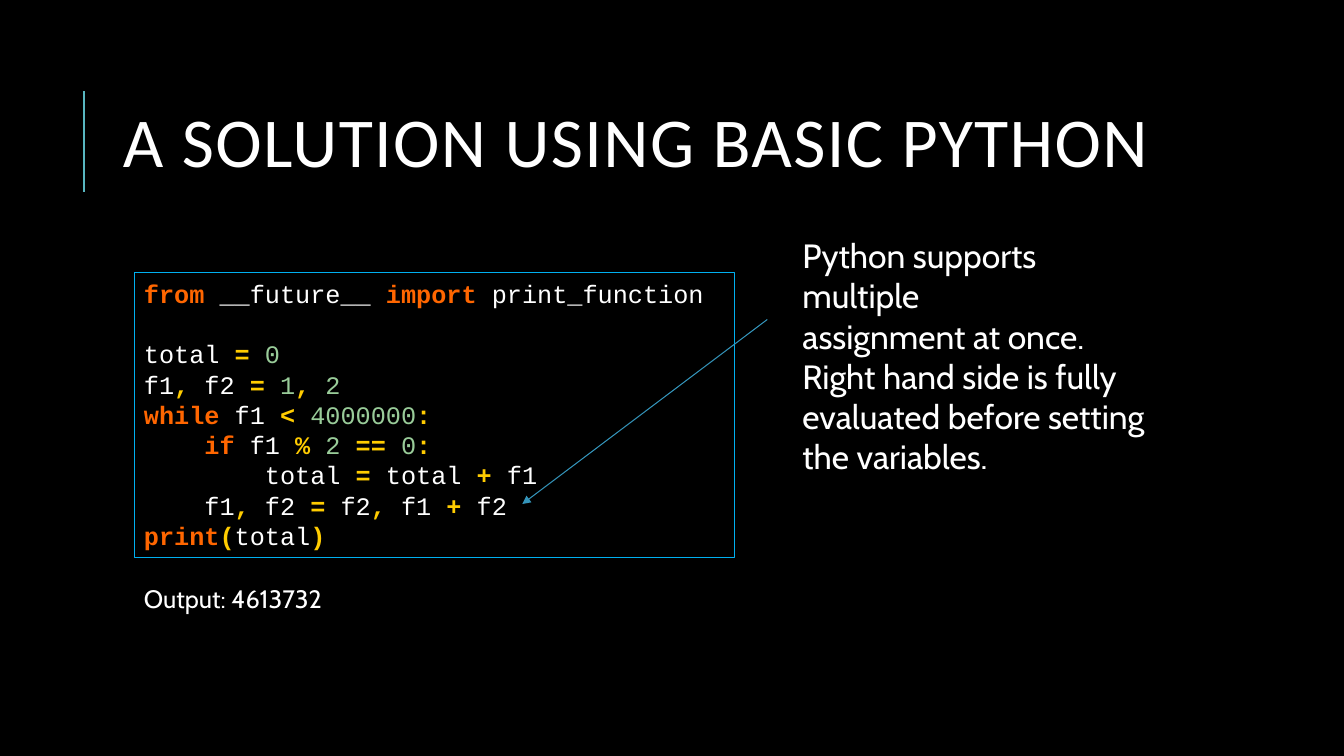
from lxml import etree
from pptx import Presentation
from pptx import util as u
from pptx.dml.color import RGBColor
from pptx.enum import shapes, text
from pptx.oxml.ns import qn

# Content: "|" separates the tokens of a code line
TITLE = "A SOLUTION USING BASIC PYTHON"
CODE = [  # indent level, blank lines above, tokens
    (0, 0, "from| __future__ |import |print_function"),
    (0, 1, "total |= |0"),
    (0, 0, "f1|,| f2 |= |1|, |2"),
    (0, 0, "while| f1 |< |4000000|:"),
    (1, 0, "if| f1 |% |2 |== |0|:"),
    (2, 0, "total |=| total |+| f1"),
    (1, 0, "f1|,| f2 |=| f2|,| f1 |+| f2"),
    (0, 0, "print|(|total|)"),
]
KEYWORDS = {"from", "import", "while", "if", "print"}
OPERATORS = {"=", "==", "<", "%", "+", ",", ":", "(", ")"}
NOTE = [
    "Python supports multiple",
    "assignment at once.",
    "Right hand side is fully evaluated before setting the variables.",
]
OUTPUT = "Output: 4613732"

# Layout in inches, type in points
WIDTH, HEIGHT = 13.33, 7.5
CODE_LEFT = 1.33
CODE_SIZE, CODE_PITCH = 18, 21.6
TAB = 4 * 0.6 * CODE_SIZE  # four monospaced characters
WHITE = "FFFFFF"


def color(value):
    return RGBColor.from_string(value)


def token_style(token):
    word = token.strip()
    if word in KEYWORDS:
        return "FF6600", True
    if word in OPERATORS:
        return "FFCC00", True
    return ("99CC99" if word.isdigit() else WHITE), False


def add_span(para, content, font, size, fill=WHITE, bold=False, spacing=0):
    span = para.add_run()
    span.text = content
    span.font.name, span.font.size, span.font.bold = font, u.Pt(size), bold
    span.font.color.rgb = color(fill)
    if spacing:
        span.font._element.set("spc", str(spacing * 100))


def next_para(frame, index):
    para = frame.paragraphs[0] if index == 0 else frame.add_paragraph()
    para.alignment = text.PP_ALIGN.LEFT
    return para


def add_text(page, place, lines, font="Cabin", size=18, wrap=True,
             anchor=text.MSO_ANCHOR.TOP, leading=None, spacing=0):
    frame = page.shapes.add_textbox(*map(u.Inches, place)).text_frame
    frame.word_wrap, frame.vertical_anchor = wrap, anchor
    for index, line in enumerate(lines):
        para = next_para(frame, index)
        para.line_spacing = leading
        add_span(para, line, font, size, spacing=spacing)


def add_line(page, start, end, stroke, weight, arrow=False):
    line = page.shapes.add_connector(
        shapes.MSO_CONNECTOR.STRAIGHT, *map(u.Inches, start + end))
    line.line.color.rgb, line.line.width = color(stroke), u.Pt(weight)
    if arrow:
        etree.SubElement(line.line._get_or_add_ln(), qn("a:tailEnd"), type="triangle")
    etree.SubElement(line._element.spPr, qn("a:effectLst"))


def add_code(page, place):
    box = page.shapes.add_shape(shapes.MSO_SHAPE.RECTANGLE, *map(u.Inches, place))
    box.shadow.inherit = False
    box.fill.background()
    box.line.color.rgb, box.line.width = color("00B0F0"), u.Pt(0.75)
    frame = box.text_frame
    frame.word_wrap, frame.vertical_anchor = True, text.MSO_ANCHOR.TOP
    frame.margin_top = u.Inches(0.06)
    for index, (level, blanks, tokens) in enumerate(CODE):
        para = next_para(frame, index)
        para.line_spacing = u.Pt(CODE_PITCH)
        para.space_before = u.Pt(blanks * CODE_PITCH)
        para._p.get_or_add_pPr().set("marL", str(u.Pt(level * TAB)))
        for token in tokens.split("|"):
            fill, bold = token_style(token)
            add_span(para, token, "Courier New", CODE_SIZE, fill, bold)


def main():
    deck = Presentation()
    deck.slide_width, deck.slide_height = u.Inches(WIDTH), u.Inches(HEIGHT)
    page = deck.slides.add_slide(deck.slide_layouts[6])
    page.background.fill.solid()
    page.background.fill.fore_color.rgb = color("000000")

    # Title with its accent rule
    add_line(page, (0.83, 1.9), (0.83, 0.9), "58B6C0", 1.5)
    add_text(page, (1.12, 0.64, 10.63, 1.64), [TITLE], font="Calibri", size=50,
             anchor=text.MSO_ANCHOR.MIDDLE, leading=0.8, spacing=1)

    # Code, the note that points into it, and the result
    add_code(page, (CODE_LEFT, 2.7, 5.96, 2.83))
    add_text(page, (7.86, 2.28, 3.61, 2.12), NOTE, size=24)
    add_line(page, (7.61, 3.17), (5.18, 5), "3494BA", 0.75, arrow=True)
    add_text(page, (CODE_LEFT, 5.74, 2.06, 0.4), [OUTPUT], wrap=False)

    deck.save("out.pptx")


if __name__ == "__main__":
    main()
